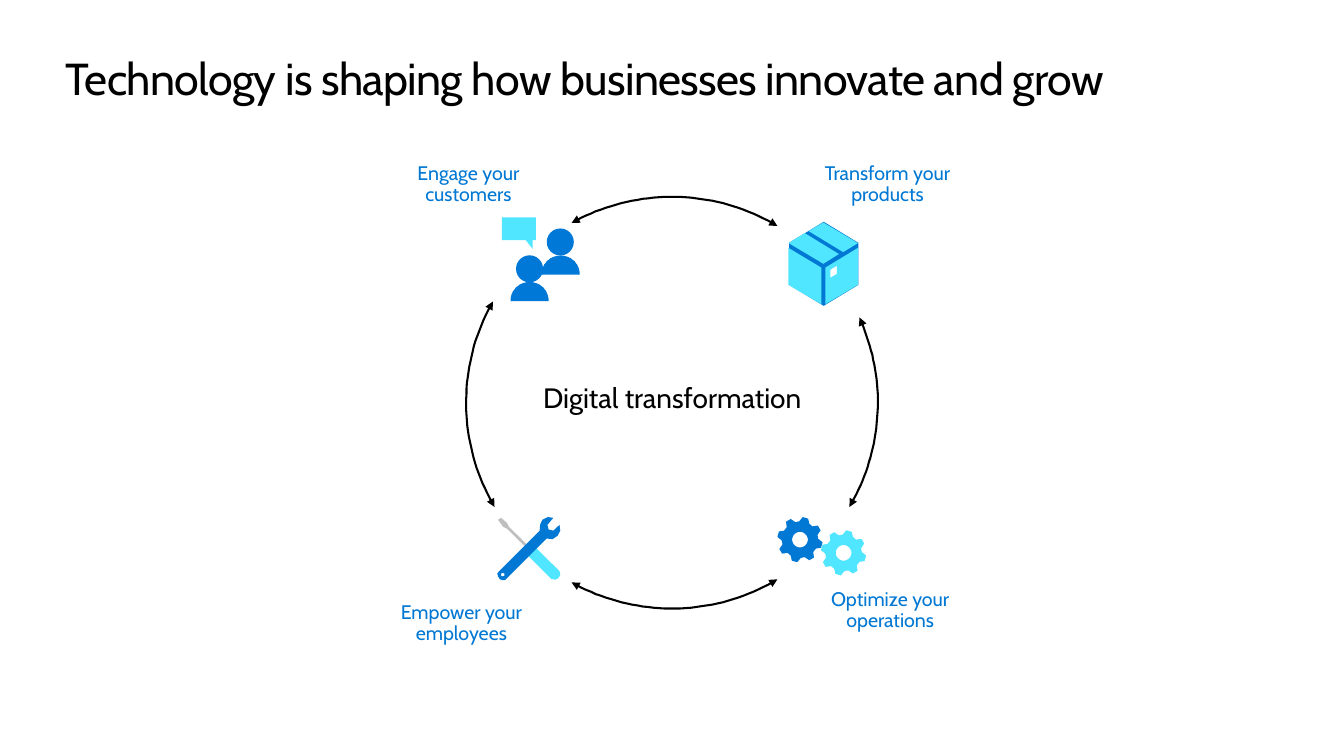
import math

import lxml.etree
import pptx
import pptx.dml.color
import pptx.enum.shapes
import pptx.enum.text
import pptx.oxml.ns
import pptx.util

Cm = pptx.util.Cm
Pt = pptx.util.Pt
colour = pptx.dml.color.RGBColor.from_string
MSO_SHAPE = pptx.enum.shapes.MSO_SHAPE
ALIGN = pptx.enum.text.PP_ALIGN
ANCHOR = pptx.enum.text.MSO_ANCHOR

FONT = "Cabin"
BLACK, WHITE, GREY = "000000", "FFFFFF", "BFBFBF"
BLUE, PEOPLE_BLUE, CYAN = "0078D4", "0078D7", "50E6FF"


def arc(x, y, radius, start, end, steps=40):
    """Return points along a circle, with angles in degrees clockwise from the right."""
    angles = [math.radians(start + (end - start) * i / steps) for i in range(steps + 1)]
    return [(x + radius * math.cos(a), y + radius * math.sin(a)) for a in angles]


def draw_outline(contours, fill=None, line=None, width=1, close=True):
    """Draw one freeform from contours given in hundredths of a centimetre."""
    builder = slide.shapes.build_freeform(*contours[0][0], scale=Cm(0.01))
    for number, contour in enumerate(contours):
        if number:
            builder.move_to(*contour[0])
        builder.add_line_segments(contour[1:], close=close)
    shape = builder.convert_to_shape()
    shape.shadow.inherit = False
    if fill:
        shape.fill.solid()
        shape.fill.fore_color.rgb = colour(fill)
    else:
        shape.fill.background()
    if line:
        shape.line.color.rgb = colour(line)
        shape.line.width = Pt(width)
    else:
        shape.line.fill.background()
    return shape


presentation = pptx.Presentation()
presentation.slide_width = Cm(34.54)
presentation.slide_height = Cm(19.43)
slide = presentation.slides.add_slide(presentation.slide_layouts[6])

# Title
title = slide.shapes.add_textbox(Cm(1.68), Cm(1.3), Cm(31.22), Cm(1.42))
frame = title.text_frame
frame.word_wrap = True
frame.margin_left = frame.margin_right = frame.margin_top = frame.margin_bottom = 0
paragraph = frame.paragraphs[0]
run = paragraph.add_run()
run.text = "Technology is shaping how businesses innovate and grow"
run._r.get_or_add_rPr().set("spc", "-50")
paragraph.font.name = FONT
paragraph.font.size = Pt(32.6)
paragraph.font.color.rgb = colour(BLACK)

# Labels around and inside the cycle
labels = [
    ("Engage your customers", 9.45, 4.06, 5.18, 1.37, 14.3, BLUE),
    ("Empower your employees", 9.27, 15.34, 5.18, 1.37, 14.3, BLUE),
    ("Optimize your operations", 20.29, 15.01, 5.18, 1.37, 14.3, BLUE),
    ("Transform your products", 20.22, 4.06, 5.18, 1.37, 14.3, BLUE),
    ("Digital transformation", 13.39, 9.75, 7.77, 1.04, 20.4, BLACK),
]
for text, left, top, width, height, size, text_colour in labels:
    label = slide.shapes.add_textbox(Cm(left), Cm(top), Cm(width), Cm(height))
    frame = label.text_frame
    frame.word_wrap = True
    frame.vertical_anchor = ANCHOR.MIDDLE
    paragraph = frame.paragraphs[0]
    paragraph.text = text
    paragraph.alignment = ALIGN.CENTER
    paragraph.line_spacing = 0.9
    paragraph.font.name = FONT
    paragraph.font.size = Pt(size)
    paragraph.font.color.rgb = colour(text_colour)

# Double-headed arrows on one circle
for start, end in [(149.5, 209.5), (59.2, 119.2), (-119.2, -59.2), (-24.4, 30.5)]:
    arrow = draw_outline([arc(1727, 1035, 529, start, end)],
                         line=BLACK, width=1.5, close=False)
    line_element = arrow.line._get_or_add_ln()
    for end_name in ("headEnd", "tailEnd"):
        lxml.etree.SubElement(line_element, pptx.oxml.ns.qn(f"a:{end_name}"), type="triangle")

# Heads of the customers, body of the box and its white tag
presets = [
    (MSO_SHAPE.OVAL, 13.28, 6.58, 0.66, 0.66, 0, PEOPLE_BLUE, PEOPLE_BLUE),
    (MSO_SHAPE.OVAL, 14.07, 5.89, 0.66, 0.66, 0, PEOPLE_BLUE, PEOPLE_BLUE),
    (MSO_SHAPE.HEXAGON, 20.09, 5.89, 2.16, 1.78, 270, BLUE, None),
    (MSO_SHAPE.PARALLELOGRAM, 21.23, 6.88, 0.36, 0.23, 270, WHITE, None),
]
for kind, left, top, width, height, rotation, fill, line in presets:
    shape = slide.shapes.add_shape(kind, Cm(left), Cm(top), Cm(width), Cm(height))
    shape.shadow.inherit = False
    shape.rotation = rotation
    shape.fill.solid()
    shape.fill.fore_color.rgb = colour(fill)
    if line:
        shape.line.color.rgb = colour(line)
        shape.line.width = Pt(1)
    else:
        shape.line.fill.background()
    if kind == MSO_SHAPE.HEXAGON:
        shape.adjustments[0] = 0.303
    if kind == MSO_SHAPE.PARALLELOGRAM:
        shape._element.spPr.xfrm.set("flipH", "1")

# Shoulders of the customers
for x, y in [(1361, 774), (1441, 706)]:
    draw_outline([arc(x, y, 47.5, 360, 180)], PEOPLE_BLUE, PEOPLE_BLUE, close=False)

# Speech bubble, box faces and tools
speech_bubble = [(1377, 559), (1290, 559), (1290, 617), (1351, 617),
                 (1369, 640), (1369, 617), (1377, 617)]
box_lid_front = [(2068, 599), (2156, 653), (2116, 678), (2027, 625)]
box_lid_back = [(2116, 572), (2205, 625), (2167, 648), (2078, 594)]
box_left = [(2026, 637), (2026, 732), (2111, 782), (2111, 688)]
box_right = [(2121, 688), (2121, 782), (2205, 732), (2205, 637)]
tag_hole = [(2151, 704), (2151, 683), (2134, 693), (2134, 714)]
screwdriver_shaft = [(1288, 1331), (1303, 1344), (1308, 1354), (1372, 1417),
                     (1367, 1422), (1303, 1359), (1293, 1354), (1280, 1336)]
screwdriver_handle = [(1369, 1400), (1438, 1468), (1440, 1478), (1435, 1486),
                      (1427, 1490), (1417, 1488), (1349, 1420)]
wrench = [(1438, 1349), (1422, 1364), (1410, 1361), (1407, 1349), (1422, 1331),
          (1408, 1329), (1394, 1336), (1388, 1349), (1387, 1364), (1283, 1468),
          (1278, 1474), (1280, 1481), (1284, 1488), (1290, 1491), (1298, 1491),
          (1303, 1486), (1405, 1384), (1420, 1386), (1433, 1377), (1440, 1364)]
wrench_hole = arc(1292, 1477, 4.5, 0, 360)
for contours, fill in [
    ([speech_bubble], CYAN),
    ([box_lid_front, box_lid_back], CYAN),
    ([box_left], CYAN),
    ([box_right, tag_hole], CYAN),
    ([screwdriver_shaft], GREY),
    ([screwdriver_handle], CYAN),
    ([wrench, wrench_hole], BLUE),
]:
    draw_outline(contours, fill)

# Gears with eight teeth each
tooth = [(-9, 58), (-23, 58), (-32, 47), (-45, 47)]
for x, y, fill in [(2168, 1421, CYAN), (2056, 1387, BLUE)]:
    rim = []
    for number in range(8):
        for angle, radius in tooth:
            turn = math.radians(30 + angle - 45 * number)
            rim.append((x + radius * math.cos(turn), y + radius * math.sin(turn)))
    draw_outline([rim, arc(x, y, 20, 0, 360)], fill)

presentation.save("out.pptx")
